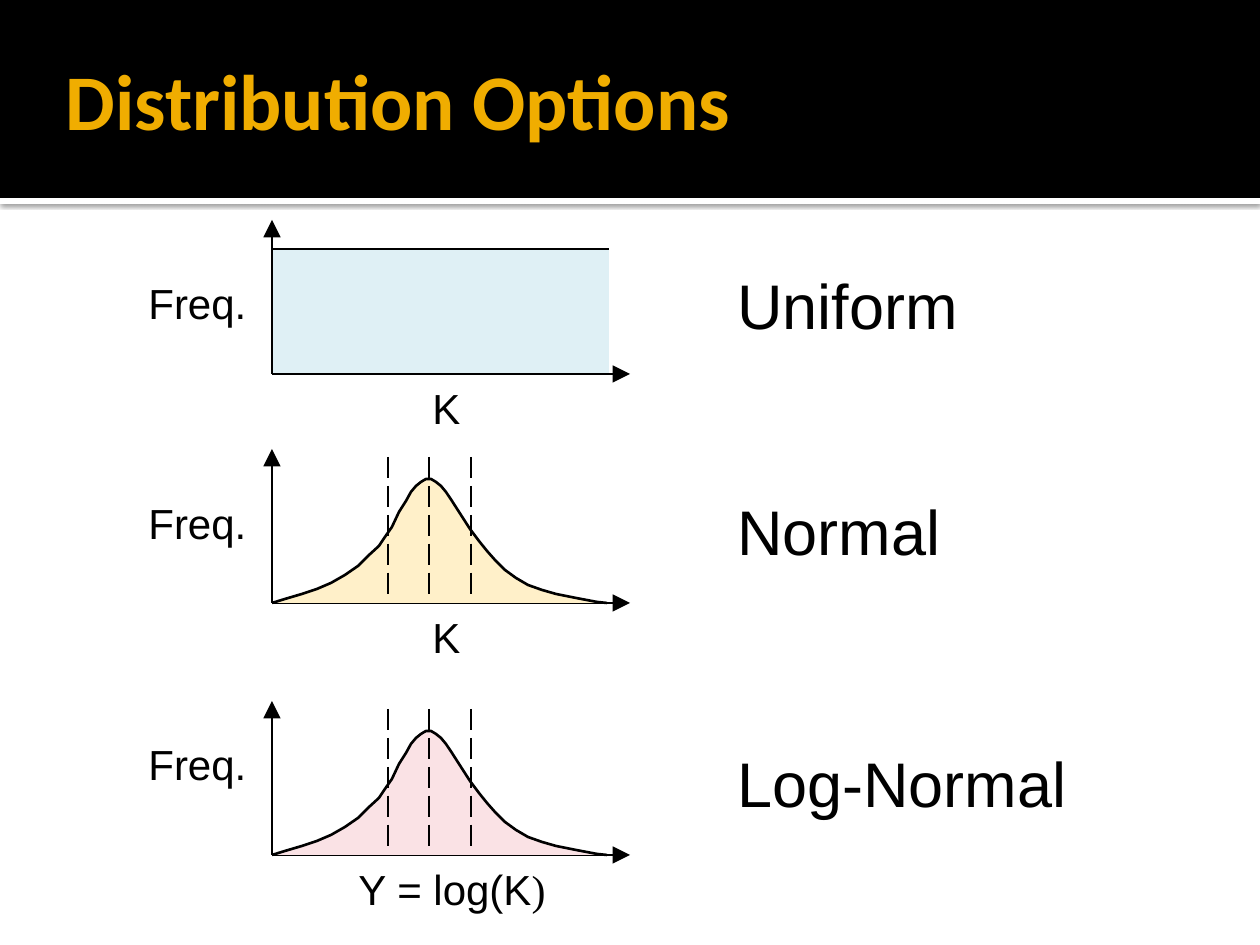
from dataclasses import dataclass

from lxml.etree import SubElement
from pptx import Presentation
from pptx.dml.color import RGBColor
from pptx.enum.dml import MSO_LINE
from pptx.enum.shapes import MSO_CONNECTOR, MSO_SHAPE
from pptx.enum.text import MSO_ANCHOR, MSO_AUTO_SIZE, PP_ALIGN
from pptx.oxml.ns import qn
from pptx.util import Emu, Inches, Pt

SCALE = 914400 / 126
WIDTH, HEIGHT = 1260, 945
AXIS_X, AXIS_WIDTH, AXIS_HEIGHT = 272, 358, 154
PLOT_WIDTH, PLOT_HEIGHT = 336, 125
MARKERS = (388, 429, 471)
BELL = (
    (0, 0), (13, 4), (30, 9), (45, 14), (59, 20), (73, 28), (86, 37),
    (96, 47), (107, 57), (113, 66), (120, 76), (127, 91), (134, 102),
    (139, 111), (144, 117), (149, 121), (154, 124), (159, 124), (164, 121),
    (169, 117), (174, 111), (180, 102), (189, 88), (198, 74), (207, 62),
    (215, 52), (223, 43), (233, 33), (244, 25), (256, 18), (270, 13),
    (284, 9), (304, 5), (325, 1), (335, 0),
)


@dataclass(frozen=True)
class Theme:
    ink: str = "000000"
    paper: str = "FFFFFF"
    title: str = "F0AD00"
    uniform: str = "DFF0F5"
    normal: str = "FFF0C9"
    log_normal: str = "FAE2E5"
    title_font: str = "Calibri"
    body_font: str = "Arial"
    bracket_font: str = "Times New Roman"
    title_size: int = 45
    name_size: int = 36
    label_size: int = 24
    line: float = 1.5


THEME = Theme()


@dataclass(frozen=True)
class Plot:
    name: str
    base: int
    fill: str
    freq_top: int
    name_top: int
    name_width: int
    label: tuple
    label_left: int
    label_width: int


PLOTS = (
    Plot("Uniform", 374, THEME.uniform, 271, 260, 346, ("K",), 420, 84),
    Plot("Normal", 603, THEME.normal, 491, 486, 346, ("K",), 420, 84),
    Plot("Log-Normal", 855, THEME.log_normal, 732, 738, 420,
         ("Y = log(K", ")"), 346, 284),
)


def px(value):
    return Emu(round(value * SCALE))


def color(value):
    return RGBColor.from_string(value)


def add_rectangle(shapes, left, top, width, height, fill):
    box = shapes.add_shape(MSO_SHAPE.RECTANGLE, px(left), px(top), px(width), px(height))
    box.shadow.inherit = False
    box.fill.solid()
    box.fill.fore_color.rgb = color(fill)
    box.line.fill.background()
    return box


def add_line(shapes, start, end, arrow=False, dashed=False):
    line = shapes.add_connector(MSO_CONNECTOR.STRAIGHT, *map(px, start + end))
    line.line.color.rgb = color(THEME.ink)
    line.line.width = Pt(THEME.line)
    if dashed:
        line.line.dash_style = MSO_LINE.LONG_DASH
    if arrow:
        SubElement(line.line._get_or_add_ln(), qn("a:tailEnd"),
                   type="triangle", w="lg", len="lg")
    SubElement(line.element.spPr, qn("a:effectLst"))


def add_text(shapes, left, top, width, height, parts, size):
    box = shapes.add_textbox(px(left), px(top), px(width), px(height))
    frame = box.text_frame
    frame.word_wrap = True
    frame.auto_size = MSO_AUTO_SIZE.SHAPE_TO_FIT_TEXT
    for part, font in zip(parts, (THEME.body_font, THEME.bracket_font)):
        span = frame.paragraphs[0].add_run()
        span.text = part
        span.font.name = font
        span.font.size = Pt(size)
        span.font.color.rgb = color(THEME.ink)


def add_bell(shapes, base, fill):
    points = [(px(AXIS_X + across), px(base - up)) for across, up in BELL]
    builder = shapes.build_freeform(*points[0], scale=1.0)
    builder.add_line_segments(points[1:], close=False)
    bell = builder.convert_to_shape()
    bell.shadow.inherit = False
    bell.fill.solid()
    bell.fill.fore_color.rgb = color(fill)
    bell.line.color.rgb = color(THEME.ink)
    bell.line.width = Pt(THEME.line)


def add_axes(shapes, base):
    origin = (AXIS_X, base)
    add_line(shapes, origin, (AXIS_X, base - AXIS_HEIGHT), arrow=True)
    add_line(shapes, origin, (AXIS_X + AXIS_WIDTH, base), arrow=True)


def add_plot(page, plot):
    shapes = page.shapes.add_group_shape().shapes
    if plot.name == "Uniform":
        top = plot.base - PLOT_HEIGHT
        add_rectangle(shapes, AXIS_X + 1, top, PLOT_WIDTH, PLOT_HEIGHT, plot.fill)
        add_axes(shapes, plot.base)
        add_line(shapes, (AXIS_X + 1, top), (AXIS_X + 1 + PLOT_WIDTH, top))
    else:
        add_axes(shapes, plot.base)
        add_bell(shapes, plot.base, plot.fill)
        for left in MARKERS:
            add_line(shapes, (left, plot.base - 146), (left, plot.base - 4), dashed=True)
    add_text(shapes, plot.label_left, plot.base + 2, plot.label_width, 63,
             plot.label, THEME.label_size)
    add_text(shapes, 136, plot.freq_top, 126, 63, ("Freq.",), THEME.label_size)
    add_text(shapes, 725, plot.name_top, plot.name_width, 88,
             (plot.name,), THEME.name_size)


def add_shadow(box):
    effects = box.element.spPr.find(qn("a:effectLst"))
    shadow = SubElement(effects, qn("a:outerShdw"), blurRad=str(Pt(2.5)),
                        dist=str(Pt(0.8)), dir="5400000", rotWithShape="0")
    tint = SubElement(shadow, qn("a:srgbClr"), val=THEME.ink)
    SubElement(tint, qn("a:alpha"), val="60000")


def add_header(page, text):
    title = page.shapes.title
    strip = add_rectangle(page.shapes, 0, 198, WIDTH, 6, THEME.paper)
    add_shadow(strip)
    band = add_rectangle(page.shapes, 0, 0, WIDTH, 198, THEME.ink)
    for box in (strip, band):
        title.element.addprevious(box.element)
    title.left, title.top, title.width, title.height = map(px, (53, 21, 1071, 157))
    frame = title.text_frame
    frame.text = text
    frame.word_wrap = True
    frame.auto_size = MSO_AUTO_SIZE.NONE
    frame.vertical_anchor = MSO_ANCHOR.MIDDLE
    frame.margin_left = Inches(0.1)
    frame.margin_right = frame.margin_top = frame.margin_bottom = Inches(0.05)
    paragraph = frame.paragraphs[0]
    paragraph.alignment = PP_ALIGN.LEFT
    font = paragraph.runs[0].font
    font.name = THEME.title_font
    font.size = Pt(THEME.title_size)
    font.bold = True
    font.color.rgb = color(THEME.title)


def main():
    deck = Presentation()
    deck.slide_width, deck.slide_height = px(WIDTH), px(HEIGHT)
    page = deck.slides.add_slide(deck.slide_layouts[5])
    add_header(page, "Distribution Options")
    for plot in PLOTS:
        add_plot(page, plot)
    deck.save("out.pptx")


if __name__ == "__main__":
    main()
